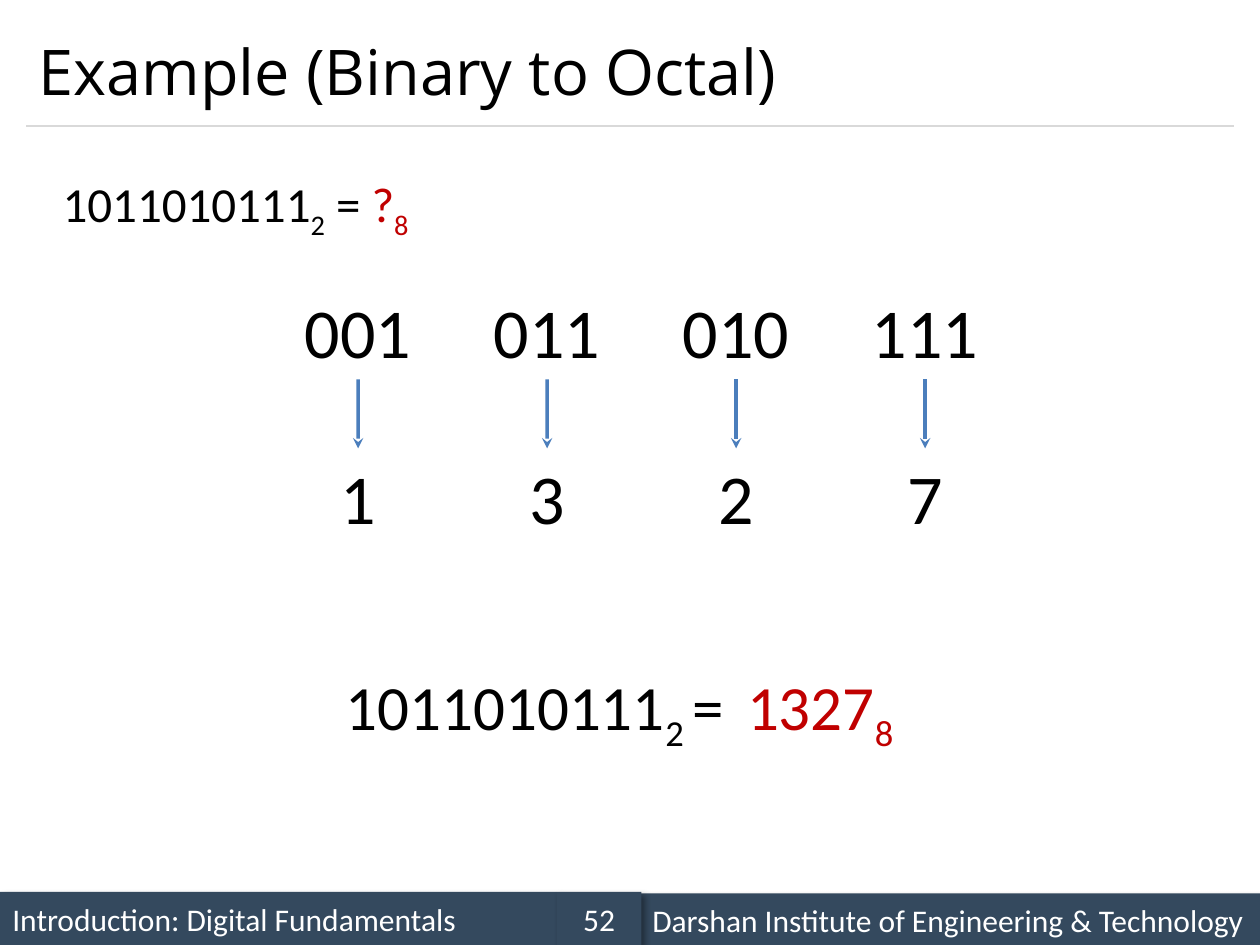
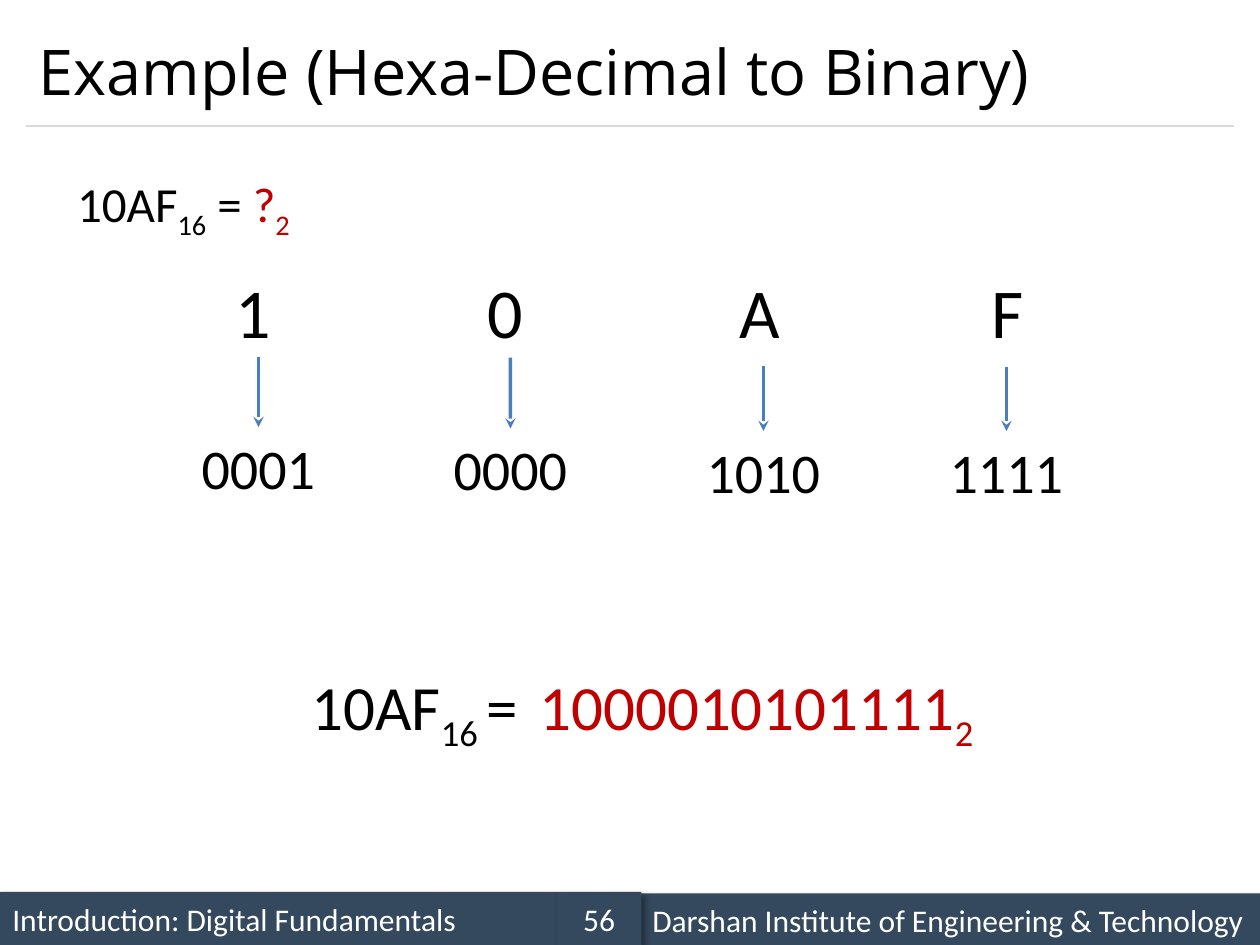
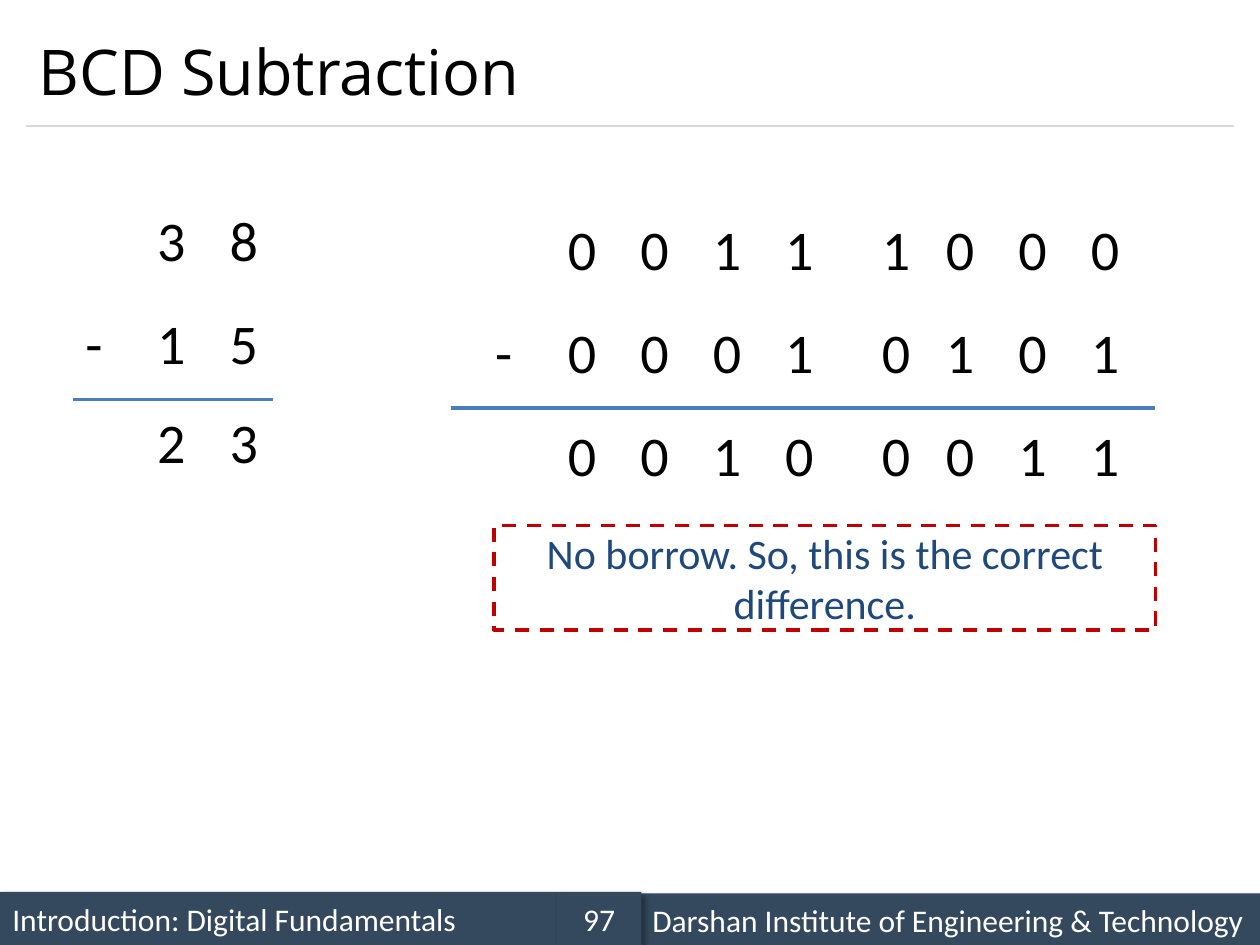
import dataclasses
import typing

import lxml.etree
import pptx
import pptx.dml.color
import pptx.enum.dml
import pptx.enum.shapes
import pptx.enum.text
import pptx.oxml.ns
import pptx.util

Cm = pptx.util.Cm
Pt = pptx.util.Pt
qn = pptx.oxml.ns.qn
Align = pptx.enum.text.PP_ALIGN
Anchor = pptx.enum.text.MSO_ANCHOR
Fit = pptx.enum.text.MSO_AUTO_SIZE

BLACK, WHITE, RED = "000000", "FFFFFF", "C00000"
SLATE, GREY, BLUE, NAVY = "34495E", "D9D9D9", "4B7EBC", "1F497D"

BODY = {"name": "Calibri"}
TITLE = {"name": "Open Sans"}
GROW = {"word_wrap": True, "auto_size": Fit.SHAPE_TO_FIT_TEXT}
LOOSE = {"word_wrap": False, "auto_size": Fit.SHAPE_TO_FIT_TEXT}
MIDDLE = {"word_wrap": True, "vertical_anchor": Anchor.MIDDLE}

STEP = 1.46


class Box(typing.NamedTuple):
    x: float
    y: float
    w: float
    h: float


class Part(typing.NamedTuple):
    text: str
    tint: str = BLACK
    sub: bool = False


class Band(typing.NamedTuple):
    box: Box
    text: str
    align: Align = Align.LEFT


@dataclasses.dataclass
class Sum:
    rows: tuple[str, str, str]
    cols: list[float]
    tops: list[float]
    minus: float
    rule: tuple[float, float, float]


BANDS = [
    Band(Box(0, 17.98, 11.23, 1.07), "Introduction: Digital Fundamentals"),
    Band(Box(12.9, 18.01, 12.5, 1.07), "Darshan Institute of Engineering & Technology"),
    Band(Box(11.23, 17.98, 1.7, 1.07), "{page}", Align.CENTER),
]

SUMS = [
    Sum(
        ("0011" "1000", "0001" "0101", "0010" "0011"),
        [11.2 + STEP * i for i in range(4)] + [17.53] + [18.82 + STEP * i for i in range(3)],
        [4.19, 6.27, 8.35],
        9.73,
        (9.09, 23.29, 8.23),
    ),
    Sum(("38", "15", "23"), [2.92, 2.92 + STEP], [4.01, 6.1, 8.1], 1.47, (1.47, 5.51, 8.05)),
]


def dress(item, form: dict) -> None:
    for key, value in form.items():
        setattr(item, key, value)


def hue(code: str):
    return pptx.dml.color.RGBColor.from_string(code)


def place(box: Box) -> list:
    return [Cm(n) for n in box]


def write(shape, parts: list[Part], size: float, align=Align.LEFT, frame=GROW, face=BODY, tabs=()) -> None:
    dress(shape.text_frame, frame)
    para = shape.text_frame.paragraphs[0]
    para.alignment = align
    if tabs:
        stops = lxml.etree.SubElement(para._p.get_or_add_pPr(), qn("a:tabLst"))
        for stop in tabs:
            lxml.etree.SubElement(stops, qn("a:tab"), pos=str(Cm(stop)), algn="l")
    for part in parts:
        run = para.add_run()
        run.text = part.text
        dress(run.font, face | {"size": Pt(size)})
        run.font.color.rgb = hue(part.tint)
        if part.sub:
            run._r.get_or_add_rPr().set("baseline", "-25000")


def label(slide, box: Box, parts: list[Part], size: float, align=Align.CENTER, **kind):
    shape = slide.shapes.add_textbox(*place(box))
    write(shape, parts, size, align, **kind)
    return shape


def stroke(slide, x1: float, y1: float, x2: float, y2: float, tint=BLUE, width: float = 2):
    line = slide.shapes.add_connector(
        pptx.enum.shapes.MSO_CONNECTOR.STRAIGHT, Cm(x1), Cm(y1), Cm(x2), Cm(y2)
    )
    line.line.color.rgb = hue(tint)
    line.line.width = Pt(width)
    lxml.etree.SubElement(line._element.spPr, qn("a:effectLst"))
    return line


def arrow(slide, x: float, top: float, end, start=None) -> None:
    line = stroke(slide, x, top, x, top + 1)
    lxml.etree.SubElement(line._element.spPr.find(qn("a:ln")), qn("a:tailEnd"), type="stealth")
    if start:
        line.begin_connect(start, 2)
    line.end_connect(end, 0)


def panel(slide, box: Box):
    shape = slide.shapes.add_shape(pptx.enum.shapes.MSO_SHAPE.RECTANGLE, *place(box))
    shape.shadow.inherit = False
    return shape


def shade(shape) -> None:
    glow = lxml.etree.SubElement(
        shape._element.spPr.find(qn("a:effectLst")), qn("a:outerShdw"),
        blurRad=str(Pt(4)), dist=str(Pt(3)), dir="2700000", algn="tl", rotWithShape="0",
    )
    tint = lxml.etree.SubElement(glow, qn("a:srgbClr"), val=BLACK)
    lxml.etree.SubElement(tint, qn("a:alpha"), val="40000")


def start(deck, title: str, page: int):
    slide = deck.slides.add_slide(deck.slide_layouts[6])
    stroke(slide, 0.53, 2.54, 24.87, 2.54, GREY, 0.75)
    for band in BANDS:
        shape = panel(slide, band.box)
        shape.fill.solid()
        shape.fill.fore_color.rgb = hue(SLATE)
        shape.line.fill.background()
        shade(shape)
        write(shape, [Part(band.text.format(page=page), WHITE)], 18, band.align, MIDDLE)
    label(slide, Box(0.53, 0.3, 24.33, 2.24), [Part(title)], 36, Align.LEFT, frame=MIDDLE, face=TITLE)
    return slide


def ask(slide, width: float, value: str, base: str, goal: str) -> None:
    parts = [Part(value), Part(base, sub=True), Part(" = "), Part("?", RED), Part(goal, RED, True)]
    label(slide, Box(0.84, 3.38, width, 1.45), parts, 28)


def reply(slide, left: tuple, right: tuple, given: tuple, found: tuple, align=Align.CENTER) -> None:
    y, h = 13.34, 1.8
    parts = [Part(given[0]), Part(given[1] + " ", sub=True), Part("=")]
    label(slide, Box(left[0], y, left[1], h), parts, 36)
    parts = [Part(found[0], RED), Part(found[1], RED, True)]
    label(slide, Box(right[0], y, right[1], h), parts, 36, align)


def octal(deck) -> None:
    slide = start(deck, "Example (Binary to Octal)", 52)
    ask(slide, 7.82, "1011010111", "2", "8")
    pairs = [("001", "1"), ("011", "3"), ("010", "2"), ("111", "7")]
    for i, (bits, digit) in enumerate(pairs):
        mid = 7.22 + 3.81 * i
        top = label(slide, Box(mid - 1.45, 5.69, 2.9, 1.96), [Part(bits)], 40)
        end = label(slide, Box(mid - 0.9, 9.04, 1.8, 1.96), [Part(digit)], 40)
        arrow(slide, mid, 7.65, end, top)
    reply(slide, (6.55, 8.46), (14.81, 3.81), ("1011010111", "2"), ("1327", "8"), Align.LEFT)


def hexa(deck) -> None:
    slide = start(deck, "Example (Hexa-Decimal to Binary)", 56)
    ask(slide, 5.72, "10AF", "16", "2")
    tabs = [2.54 * i for i in range(1, 7)]
    label(slide, Box(4.01, 5.28, 17.35, 1.96), [Part("\t\t".join("10AF"))], 40, tabs=tabs)
    codes = [
        ("0001", 3.76, 8.61, 7.19),
        ("0000", 8.84, 8.64, 7.21),
        ("1010", 13.94, 8.69, 7.37),
        ("1111", 18.84, 8.69, 7.39),
    ]
    for bits, x, y, top in codes:
        end = label(slide, Box(x, y, 2.9, 1.63), [Part(bits)], 32)
        arrow(slide, x + 1.45, top, end)
    reply(slide, (5.72, 5.28), (10.59, 9.32), ("10AF", "16"), ("1000010101111", "2"))


def digit(slide, x: float, y: float, text: str, width: float = 1.09) -> None:
    label(slide, Box(x, y, width, 1.63), [Part(text)], 32, Align.LEFT, frame=LOOSE)


def minus(deck) -> None:
    slide = start(deck, "BCD Subtraction", 97)
    for item in SUMS:
        for y, row in zip(item.tops, item.rows):
            for x, text in zip(item.cols, row):
                digit(slide, x, y, text)
        digit(slide, item.minus, item.tops[1], "-", 0.86)
        left, right, y = item.rule
        stroke(slide, left, y, right, y)
    note = panel(slide, Box(9.96, 10.59, 13.34, 2.11))
    note.fill.background()
    note.line.color.rgb = hue(RED)
    dress(note.line, {"width": Pt(2), "dash_style": pptx.enum.dml.MSO_LINE.DASH})
    text = "No borrow. So, this is the correct difference."
    write(note, [Part(text, NAVY)], 24, Align.CENTER, MIDDLE)


def main() -> None:
    deck = pptx.Presentation()
    dress(deck, {"slide_width": Cm(25.4), "slide_height": Cm(19.05)})
    for build in (octal, hexa, minus):
        build(deck)
    deck.save("out.pptx")


if __name__ == "__main__":
    main()
